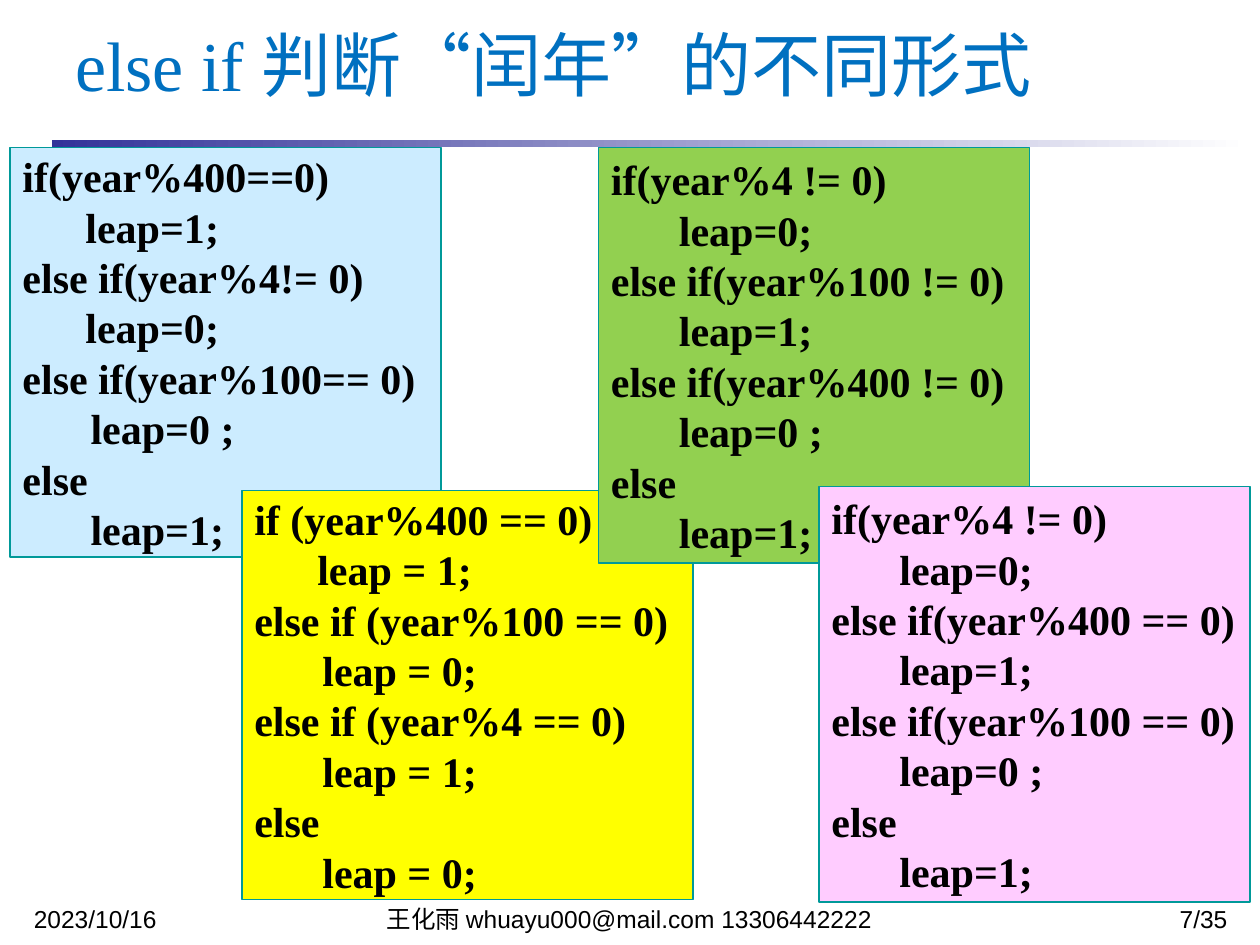
import pptx
import pptx.util
import pptx.dml.color
import pptx.enum.shapes
import pptx.enum.text
from dataclasses import dataclass

Inches = pptx.util.Inches
Align = pptx.enum.text.PP_ALIGN
Anchor = pptx.enum.text.MSO_ANCHOR


@dataclass(frozen=True)
class Theme:
    title_font: str = "Times New Roman"
    code_font: str = "Times New Roman"
    footer_font: str = "Arial"
    title_size: int = 40
    code_size: int = 24
    footer_size: int = 14
    title: str = "0070C0"
    text: str = "000000"
    border: str = "009999"
    rule_start: str = "333399"
    rule_end: str = "FFFFFF"
    blue: str = "CCECFF"
    yellow: str = "FFFF00"
    green: str = "92D050"
    pink: str = "FFCCFF"


THEME = Theme()
SHALLOW, DEEP = 0.5, 0.54  # indents of the statements, in inches


def rgb(value):
    return pptx.dml.color.RGBColor.from_string(value)


def write_text(paragraph, text, *, font, size, color, bold=False,
               align=Align.LEFT, spacing=None, before=0, indent=0):
    paragraph.alignment = align
    paragraph.line_spacing = spacing
    paragraph.space_before = pptx.util.Pt(before)
    if indent:
        paragraph._p.get_or_add_pPr().set("marL", str(Inches(indent)))
    run = paragraph.add_run()
    run.text = text
    run.font.name = font
    run.font.size = pptx.util.Pt(size)
    run.font.bold = bold
    run.font.color.rgb = rgb(color)


def add_label(slide, text, left, top, width, height, *, anchor=Anchor.TOP, **style):
    shape = slide.shapes.add_textbox(Inches(left), Inches(top), Inches(width), Inches(height))
    frame = shape.text_frame
    frame.word_wrap = True
    frame.vertical_anchor = anchor
    write_text(frame.paragraphs[0], text, **style)


def add_rectangle(slide, left, top, width, height):
    shape = slide.shapes.add_shape(
        pptx.enum.shapes.MSO_SHAPE.RECTANGLE,
        Inches(left), Inches(top), Inches(width), Inches(height))
    shape.shadow.inherit = False
    return shape


def add_rule(slide):
    shape = add_rectangle(slide, 0.41, 1.11, 9.51, 0.06)
    shape.line.fill.background()
    shape.fill.gradient()
    shape.fill.gradient_angle = 0
    for stop, color in zip(shape.fill.gradient_stops, (THEME.rule_start, THEME.rule_end)):
        stop.color.rgb = rgb(color)


def add_code(slide, left, top, width, height, fill, branches):
    """Draw a code panel from (condition, statement, indent) branches."""
    shape = add_rectangle(slide, left, top, width, height)
    shape.fill.solid()
    shape.fill.fore_color.rgb = rgb(fill)
    shape.line.color.rgb = rgb(THEME.border)
    shape.line.width = pptx.util.Pt(0.75)
    frame = shape.text_frame
    frame.word_wrap = True
    frame.margin_right = 0
    frame.vertical_anchor = Anchor.MIDDLE
    paragraph = frame.paragraphs[0]
    for number, (condition, statement, indent) in enumerate(branches):
        if number:
            paragraph = frame.add_paragraph()
        style = dict(font=THEME.code_font, size=THEME.code_size, color=THEME.text, bold=True)
        write_text(paragraph, condition, **style)
        write_text(frame.add_paragraph(), statement, indent=indent, **style)


def main():
    presentation = pptx.Presentation()
    presentation.slide_width = Inches(10)
    presentation.slide_height = Inches(7.5)
    slide = presentation.slides.add_slide(presentation.slide_layouts[6])

    # Rule and footer
    add_rule(slide)
    for text, left, width, align in (
            ("2023/10/16", 0.17, 2.33, Align.LEFT),
            ("王化雨 whuayu000@mail.com 13306442222", 2.58, 4.83, Align.CENTER),
            ("7/35", 7.92, 1.92, Align.RIGHT)):
        add_label(slide, text, left, 7.17, width, 0.18, align=align, spacing=0.8, before=2,
                  font=THEME.footer_font, size=THEME.footer_size, color=THEME.text)

    # Title
    add_label(slide, "else if 判断“闰年”的不同形式", 0.5, 0.17, 9.33, 0.67,
              anchor=Anchor.MIDDLE, font=THEME.title_font, size=THEME.title_size,
              color=THEME.title)

    # Code panels, from back to front
    add_code(slide, 0.08, 1.17, 3.42, 3.25, THEME.blue, (
        ("if(year%400==0)", "leap=1;", SHALLOW),
        ("else if(year%4!= 0)", "leap=0;", SHALLOW),
        ("else if(year%100== 0)", "leap=0 ;", DEEP),
        ("else", "leap=1;", DEEP)))
    add_code(slide, 1.92, 3.89, 3.58, 3.25, THEME.yellow, (
        ("if (year%400 == 0)", "leap = 1;", SHALLOW),
        ("else if (year%100 == 0)", "leap = 0;", DEEP),
        ("else if (year%4 == 0)", "leap = 1;", DEEP),
        ("else", "leap = 0;", DEEP)))
    for left, top, fill, second, third in (
            (4.75, 1.17, THEME.green, "year%100 != 0", "year%400 != 0"),
            (6.5, 3.86, THEME.pink, "year%400 == 0", "year%100 == 0")):
        add_code(slide, left, top, 3.42, 3.3, fill, (
            ("if(year%4 != 0)", "leap=0;", DEEP),
            (f"else if({second})", "leap=1;", DEEP),
            (f"else if({third})", "leap=0 ;", DEEP),
            ("else", "leap=1;", DEEP)))

    presentation.save("out.pptx")


if __name__ == "__main__":
    main()
